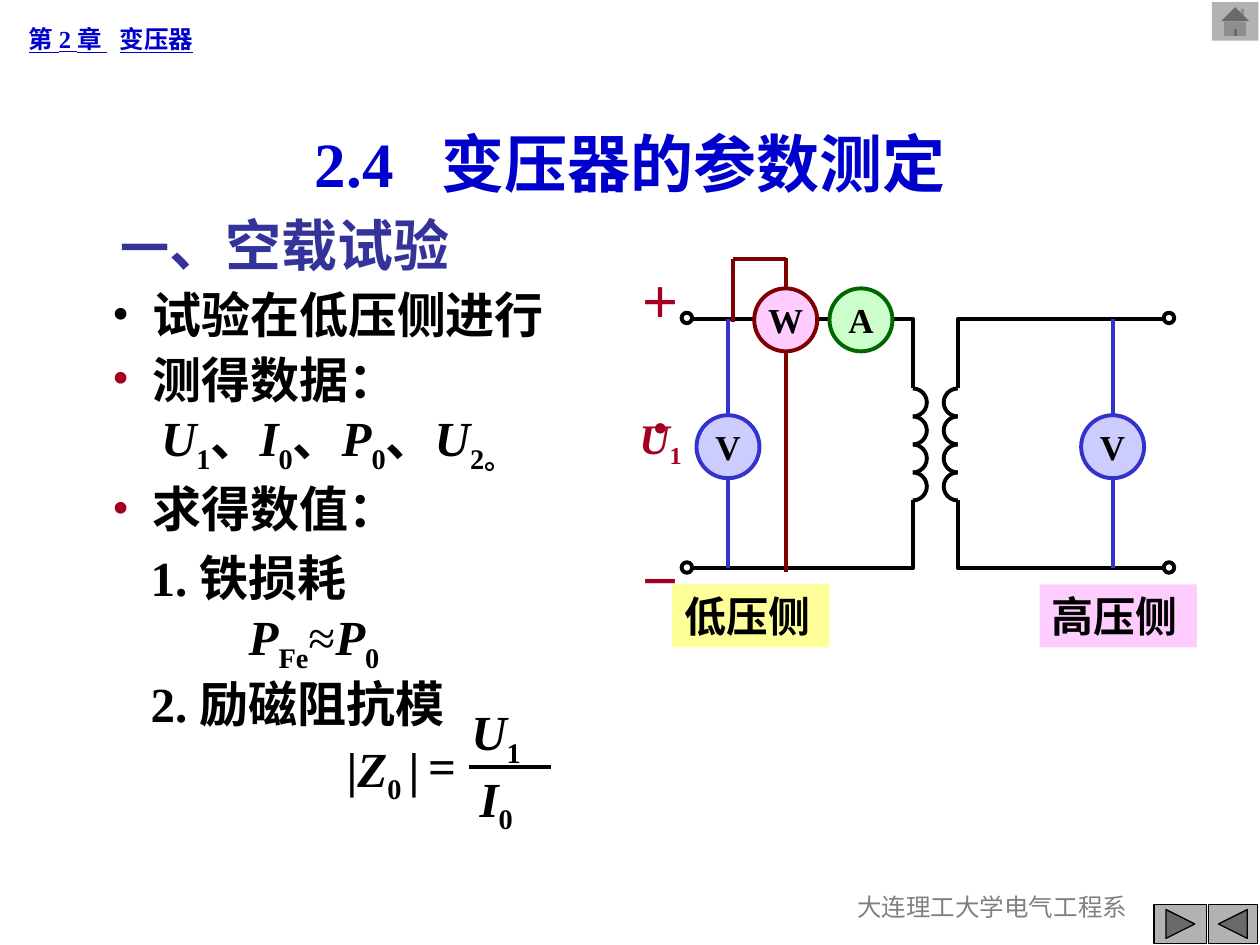
from dataclasses import dataclass

from lxml import etree
from pptx import Presentation
from pptx.dml.color import RGBColor
from pptx.enum.shapes import MSO_CONNECTOR, MSO_SHAPE
from pptx.enum.text import MSO_ANCHOR, PP_ALIGN
from pptx.oxml.ns import qn
from pptx.util import Pt


@dataclass(frozen=True)
class Theme:
    font: str = "Times New Roman"
    black: str = "000000"
    title: str = "0000CC"
    heading: str = "333399"
    accent: str = "A50021"
    muted: str = "808080"
    volt: str = "3333CC"
    volt_fill: str = "CCCCFF"
    watt: str = "800000"
    pink: str = "FFCCFF"
    amp: str = "006600"
    amp_fill: str = "CCFFCC"
    yellow: str = "FFFF99"
    button: str = "B2B2B2"
    title_size: int = 36
    heading_size: int = 32
    body_size: int = 28
    label_size: int = 24
    meter_size: int = 20
    small_size: int = 14
    stroke: float = 2.25


class SlideBuilder:
    def __init__(self, slide, theme):
        self.slide = slide
        self.theme = theme

    def paragraph(self, frame, runs, size, color, first=False, align=PP_ALIGN.LEFT,
                  bold=True, underline=None, indent=0, before=0, bullet=None):
        """Add a line of (text, marks) runs.

        Marks: i = italic, s = subscript, n = not bold, b = body size, w = wide spacing.
        """
        line = frame.paragraphs[0] if first else frame.add_paragraph()
        properties = line._p.get_or_add_pPr()
        if indent:
            properties.set("marL", str(Pt(indent)))
        if bullet:
            properties.set("indent", str(-Pt(indent)))
            bullet_color = etree.SubElement(properties, qn("a:buClr"))
            etree.SubElement(bullet_color, qn("a:srgbClr"), val=bullet)
            etree.SubElement(properties, qn("a:buFont"), typeface=self.theme.font)
            etree.SubElement(properties, qn("a:buChar"), char="•")
        line.alignment = align
        line.space_before = Pt(before)
        font = line.font
        font.name, font.size, font.bold = self.theme.font, Pt(size), bold
        font.underline = underline
        font.color.rgb = RGBColor.from_string(color)
        for text, marks in [(runs, "")] if isinstance(runs, str) else runs:
            run = line.add_run()
            run.text = text
            if "i" in marks:
                run.font.italic = True
            if "n" in marks:
                run.font.bold = False
            if "b" in marks:
                run.font.size = Pt(self.theme.body_size)
            if "s" in marks:
                run._r.get_or_add_rPr().set("baseline", "-25000")
            if "w" in marks:
                run._r.get_or_add_rPr().set("spc", str(size * 50))

    def text(self, box, lines, size, color, anchor=MSO_ANCHOR.TOP, wrap=True, **style):
        """Add a text box; each line is its runs plus its own paragraph settings."""
        frame = self.slide.shapes.add_textbox(*map(Pt, box)).text_frame
        frame.word_wrap = wrap
        frame.vertical_anchor = anchor
        for number, (runs, own) in enumerate(lines):
            self.paragraph(frame, runs, **{"size": size, "color": color,
                                           "first": number == 0, **style, **own})

    def title(self, box, words):
        heading = self.slide.shapes.title
        heading.left, heading.top, heading.width, heading.height = map(Pt, box)
        heading.text_frame.vertical_anchor = MSO_ANCHOR.MIDDLE
        self.paragraph(heading.text_frame, words, self.theme.title_size, self.theme.title,
                       first=True, align=PP_ALIGN.CENTER)

    def shape(self, kind, box, fill=None, line=None, width=None):
        shape = self.slide.shapes.add_shape(kind, *map(Pt, box))
        shape.shadow.inherit = False
        self.paint(shape, fill, line, width)
        return shape

    def paint(self, shape, fill, line, width=None):
        if fill:
            shape.fill.solid()
            shape.fill.fore_color.rgb = RGBColor.from_string(fill)
        else:
            shape.fill.background()
        if line:
            shape.line.color.rgb = RGBColor.from_string(line)
            shape.line.width = Pt(width or self.theme.stroke)
        else:
            shape.line.fill.background()

    def circle(self, x, y, diameter, fill=None, line=None):
        corner = x - diameter / 2, y - diameter / 2
        return self.shape(MSO_SHAPE.OVAL, (*corner, diameter, diameter), fill, line)

    def meter(self, x, y, letter, fill, line):
        frame = self.circle(x, y, 36, fill, line).text_frame
        frame.word_wrap = False
        frame.vertical_anchor = MSO_ANCHOR.MIDDLE
        self.paragraph(frame, letter, self.theme.meter_size, self.theme.black,
                       first=True, align=PP_ALIGN.CENTER)

    def side_label(self, box, words, fill):
        frame = self.shape(MSO_SHAPE.RECTANGLE, box, fill).text_frame
        frame.vertical_anchor = MSO_ANCHOR.TOP
        self.paragraph(frame, words, self.theme.label_size, self.theme.black, first=True)

    def line(self, x1, y1, x2, y2, color):
        link = self.slide.shapes.add_connector(MSO_CONNECTOR.STRAIGHT,
                                               *map(Pt, (x1, y1, x2, y2)))
        link.line.color.rgb = RGBColor.from_string(color)
        link.line.width = Pt(self.theme.stroke)
        etree.SubElement(link._element.spPr, qn("a:effectLst"))

    def wire(self, start, *corners):
        outline = self.slide.shapes.build_freeform(*map(Pt, start))
        outline.add_line_segments([tuple(map(Pt, corner)) for corner in corners], close=False)
        wire = outline.convert_to_shape()
        wire.shadow.inherit = False
        self.paint(wire, None, self.theme.black)

    def coil(self, x, top, bottom, angles, turns=4):
        """Stack half circles; angles are start and end in units of 5/3 degrees."""
        diameter = (bottom - top) / turns
        for turn in range(turns):
            box = x - diameter / 2, top + turn * diameter, diameter, diameter
            arc = self.shape(MSO_SHAPE.ARC, box, line=self.theme.black)
            arc.adjustments[0], arc.adjustments[1] = angles


def draw_circuit(build):
    theme = build.theme
    top, bottom, coil_top, coil_bottom = 182.2, 324.8, 222, 286
    build.side_label((384, 334, 90, 36), "低压侧", theme.yellow)
    build.side_label((594, 334, 90, 36), "高压侧", theme.pink)
    for terminal, coil, angles in ((392.5, 521.7, (162, 54)), (668, 547.3, (54, 162))):
        wire_end = terminal + (3.5 if terminal < coil else -3.5)
        for level, coil_end in ((top, coil_top), (bottom, coil_bottom)):
            build.circle(terminal, level - 0.5, 6, line=theme.black)
            build.wire((wire_end, level), (coil, level), (coil, coil_end))
        build.coil(coil, coil_top, coil_bottom, angles)

    build.text((358, 151, 39, 202),
               [("＋", {}), ([("U", "i"), ("1", "s")], {"before": 49}), ("－", {"before": 49})],
               theme.label_size, theme.accent, anchor=MSO_ANCHOR.MIDDLE, wrap=False,
               align=PP_ALIGN.CENTER)
    build.circle(377.3, 244.8, 6, theme.accent)

    for x in (416, 635.8):
        build.line(x, top, x, bottom, theme.volt)
        build.meter(x, 255.3, "V", theme.volt_fill, theme.volt)
    build.meter(492, 182.8, "A", theme.amp_fill, theme.amp)
    build.line(449, 147.6, 449, 326.7, theme.watt)
    build.meter(449, 182.8, "W", theme.pink, theme.watt)
    build.line(419, 148, 419, 184, theme.watt)
    build.line(419, 148, 449, 148, theme.watt)


def draw_notes(build):
    theme = build.theme
    point = {"indent": 23, "bullet": theme.accent}
    build.text((57, 117, 384, 83),
               [([("一", "b"), ("、空载试验", "")],
                 {"indent": 5, "size": theme.heading_size, "color": theme.heading}),
                ("试验在低压侧进行", {**point, "bullet": theme.black, "before": 3.5})],
               theme.body_size, theme.black)
    measured = [("U", "i"), ("1", "s"), ("、", ""), ("I", "i"), ("0", "s"), ("、", ""),
                ("P", "i"), ("0", "s"), ("、", ""), ("U", "i"), ("2。", "s")]
    build.text((57, 196, 293, 117), [("测得数据：", point), (measured, {"indent": 28})],
               theme.body_size, theme.black)
    build.text((57, 270, 293, 41), [("求得数值：", point)], theme.body_size, theme.black)
    iron_loss = [("P", "i"), ("Fe", "s"), ("≈", "n"), ("P", "i"), ("0", "s")]
    impedance = [("|", ""), ("Z", "i"), ("0 ", "s"), ("|", "")]
    build.text((79, 309.6, 338, 155),
               [("1. 铁损耗", {}), (iron_loss, {"indent": 56}), ("2. 励磁阻抗模", {}),
                (impedance, {"indent": 112, "before": 3.5})],
               theme.body_size, theme.black)
    build.text((237.6, 417, 30, 41), [("=", {})], theme.body_size, theme.black, wrap=False)
    build.text((248.5, 397.5, 70, 83.5),
               [([("U", "i"), ("1", "s")], {}), ([("I", "i"), ("0", "s")], {})],
               theme.body_size, theme.black, wrap=False, align=PP_ALIGN.CENTER)
    build.line(268, 438.5, 315, 438.5, theme.black)


def main():
    deck = Presentation()
    deck.slide_width, deck.slide_height = Pt(720), Pt(540)
    theme = Theme()
    build = SlideBuilder(deck.slides.add_slide(deck.slide_layouts[5]), theme)

    build.title((54, 60.5, 612, 64), [("2.4", ""), (" ", "w"), ("变压器的参数测定", "")])
    build.text((453, 506, 228, 36), [("大连理工大学电气工程系", {})], theme.small_size,
               theme.muted, bold=False, align=PP_ALIGN.CENTER)
    build.text((9.4, 10, 232.6, 24.5), [([("第 2 章", ""), (" ", "w"), ("变压器", "")], {})],
               theme.small_size, theme.title, anchor=MSO_ANCHOR.MIDDLE, underline=True)
    draw_circuit(build)
    draw_notes(build)
    for kind, box, line in (
            (MSO_SHAPE.ACTION_BUTTON_FORWARD_OR_NEXT, (659.5, 517, 30, 22), theme.black),
            (MSO_SHAPE.ACTION_BUTTON_BACK_OR_PREVIOUS, (690.5, 517, 28, 22), theme.black),
            (MSO_SHAPE.ACTION_BUTTON_HOME, (692.5, 1.3, 26.5, 22), None)):
        build.shape(kind, box, theme.button, line, 0.75)
    deck.save("out.pptx")


if __name__ == "__main__":
    main()
